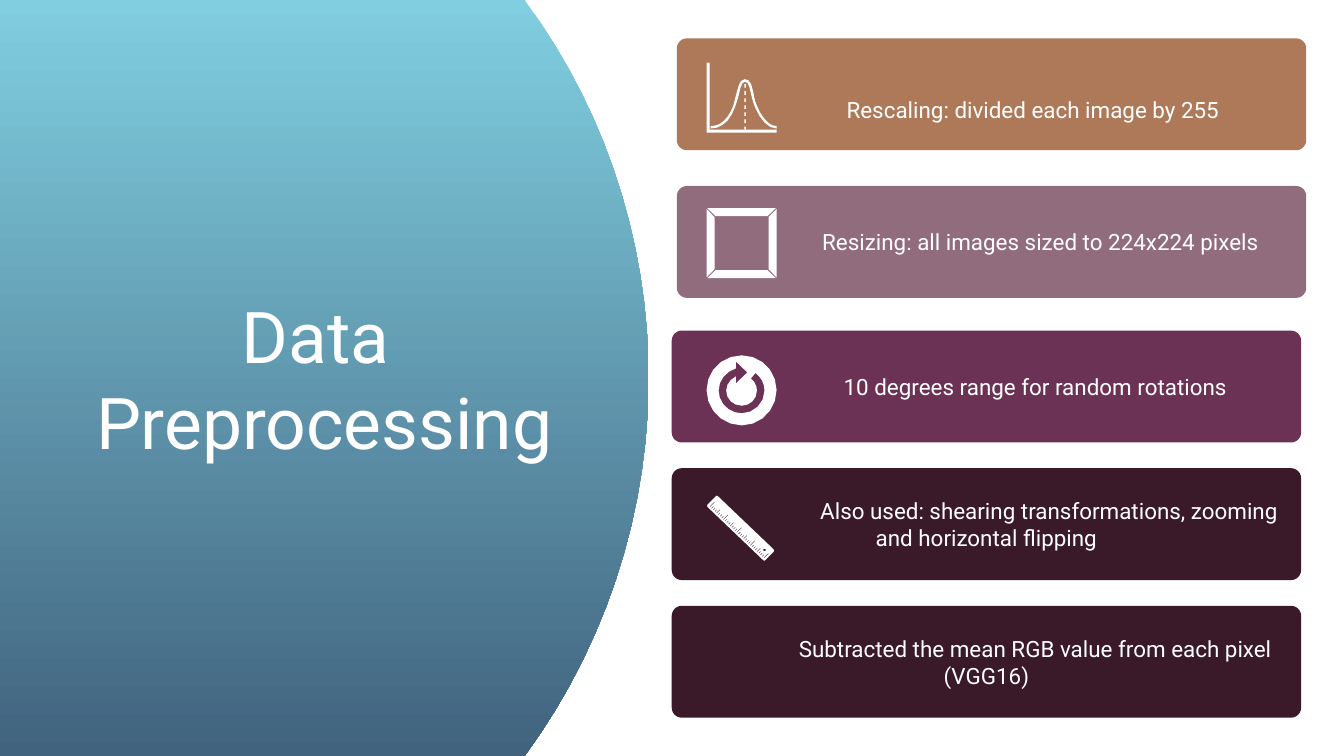
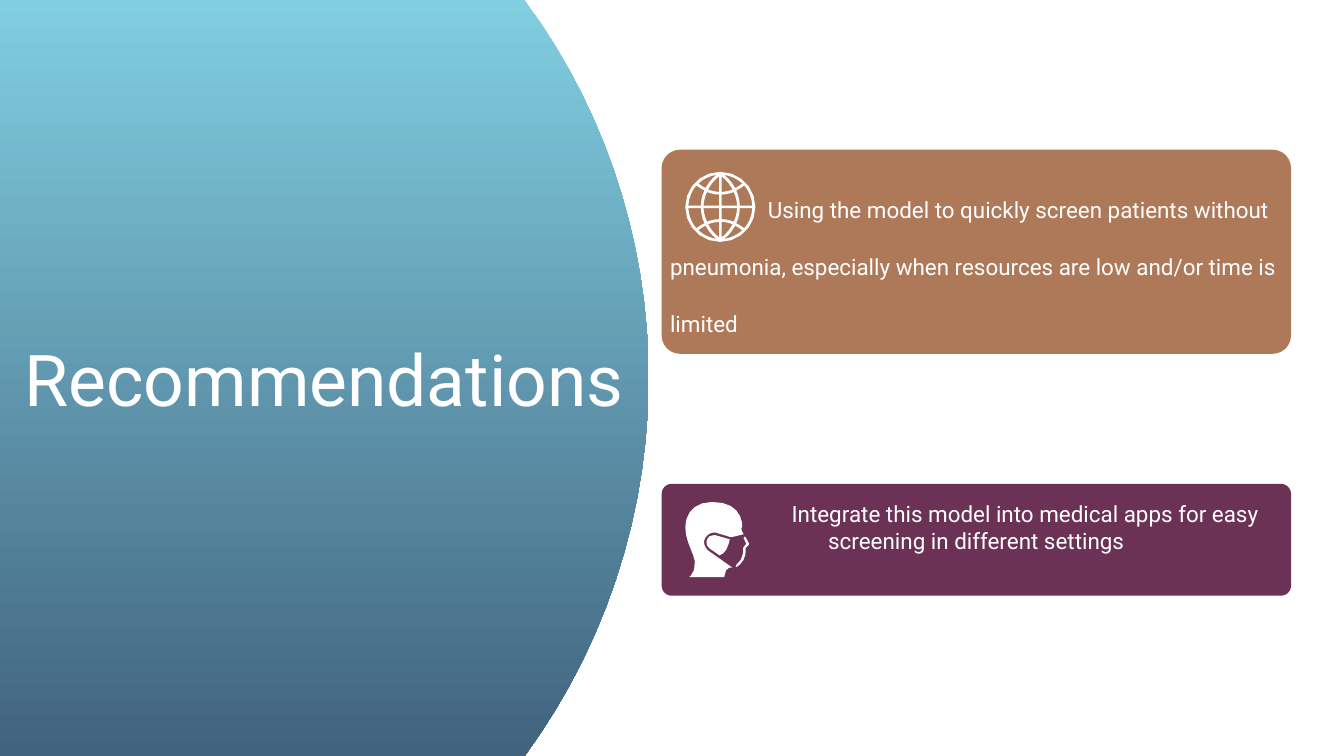
from dataclasses import dataclass
from math import ceil, dist, sqrt

from pptx import Presentation
from pptx.dml.color import RGBColor
from pptx.enum.shapes import MSO_SHAPE
from pptx.enum.text import MSO_ANCHOR, MSO_AUTO_SIZE, PP_ALIGN
from pptx.util import Inches, Pt

ROUNDED = MSO_SHAPE.ROUNDED_RECTANGLE
MIDDLE = MSO_ANCHOR.MIDDLE
NO_FIT = MSO_AUTO_SIZE.NONE
LEFT, CENTER = PP_ALIGN.LEFT, PP_ALIGN.CENTER
TITLE_ONLY = 5


@dataclass(frozen=True)
class Theme:
    font: str = "Roboto"
    title_size: int = 102
    card_size: int = 32
    loose_leading: int = 81
    inset: float = 0.06
    indent: float = 1.94
    corner: float = 0.09
    white: str = "FFFFFF"
    sky: str = "80CEE0"
    slate: str = "41637E"
    clay: str = "AE7959"
    mauve: str = "916C7C"
    plum: str = "6C3255"
    wine: str = "3A1A29"


# Outlines use hundredths of an inch.
PANEL = "M 0 0 L 1041 0 C 1204 221 1290 489 1287 764 C 1284 1029 1198 1286 1041 1500 L 0 1500"
BELL = (
    "M 0 0 L 6 0 L 6 133 L 139 133 L 139 139 L 0 139 "
    "M 76 33 C 69 33 66 40 65 43 C 63 48 61 55 59 63 C 57 70 55 78 53 86 "
    "C 48 99 42 109 34 116 C 27 123 18 126 8 126 L 8 131 C 30 131 47 116 57 87 "
    "C 60 79 62 71 64 64 C 67 49 70 38 76 38 C 83 38 85 47 88 61 "
    "C 90 69 92 79 96 88 C 107 115 123 131 139 131 L 139 126 "
    "C 132 126 125 123 119 116 C 112 109 105 99 100 86 C 96 77 94 68 93 60 "
    "C 91 53 90 47 88 42 C 85 36 81 33 76 33"
)
ROTATE = (
    "M 70 0 C 31 0 0 31 0 69 C 0 107 31 139 70 139 C 108 139 139 107 139 69 "
    "C 139 31 108 0 70 0 "
    "M 58 12 L 81 34 L 58 56 L 58 42 C 47 47 39 58 39 70 C 39 87 53 100 70 100 "
    "C 86 100 100 87 100 70 C 100 61 96 52 88 46 L 97 35 C 108 43 115 56 115 70 "
    "C 115 95 94 115 70 115 C 45 115 24 95 24 70 C 24 49 39 32 58 26"
)
RULER = (
    "M 22 2 C 20 0 18 0 17 2 L 1 18 C 0 20 0 22 1 23 L 112 129 "
    "C 113 130 115 130 116 128 L 132 112 C 133 110 133 108 132 107 "
    "M 116 106 C 117 107 117 109 116 110 C 115 111 113 111 112 110 "
    "C 111 109 110 107 112 106 C 113 104 115 104 116 106"
)
GLOBE_RIM = (
    "M 69 0 C 31 0 0 31 0 70 C 0 108 31 139 69 139 "
    "C 108 139 139 108 139 70 C 139 31 108 0 69 0"
)
GLOBE_QUARTER = (
    "M 77 6 C 91 8 103 14 113 23 C 108 27 104 30 99 32 L 97 29 "
    "C 92 20 85 12 77 6 "
    "M 72 9 C 80 15 87 23 92 32 L 94 35 C 87 38 80 39 72 40 "
    "M 117 27 C 126 37 132 51 133 67 L 108 67 C 108 57 106 47 101 37 "
    "C 107 34 112 31 117 27 "
    "M 96 40 C 100 48 102 57 103 67 L 72 67 L 72 45 C 81 45 89 43 96 40"
)
MASKED_HEAD = (
    "M 53 0 C 18 0 0 23 0 50 C 0 78 16 99 19 118 C 22 137 8 149 8 149 L 77 149 "
    "C 80 129 87 130 93 130 L 45 96 C 40 92 37 85 37 78 C 38 73 41 68 45 65 "
    "C 50 61 55 60 61 61 L 91 70 L 116 64 C 115 62 113 60 113 59 "
    "C 108 52 115 49 113 42 C 108 17 92 0 53 0 "
    "M 57 66 C 54 66 51 67 48 68 C 45 71 42 75 42 79 C 41 84 44 89 48 92 "
    "L 68 106 C 76 103 82 96 85 86 C 87 81 88 76 88 74 L 60 66 "
    "M 117 69 C 115 70 115 71 116 72 L 121 83 L 116 89 L 115 91 "
    "C 115 91 117 114 101 125 C 100 126 99 127 100 128 L 102 129 "
    "C 110 124 117 116 119 105 C 120 99 120 94 120 91 L 126 85 "
    "C 127 84 127 83 126 82 L 120 70 L 117 69"
)


def bezier(points, t):
    """Point at t on the cubic curve through four control points."""
    u = 1 - t
    weights = (u**3, 3 * u * u * t, 3 * u * t * t, t**3)
    return tuple(sum(w * pt[axis] for w, pt in zip(weights, points)) for axis in (0, 1))


def contours(outline):
    """Turn an outline of M, L and C steps into points, with more on longer curves."""
    result = []
    tokens = iter(outline.split())
    for step in tokens:
        count = 3 if step == "C" else 1
        pts = [(float(next(tokens)), float(next(tokens))) for _ in range(count)]
        if step == "M":
            result.append(pts)
        elif step == "L":
            result[-1] += pts
        else:
            curve = [result[-1][-1], *pts]
            n = ceil(sqrt(dist(curve[0], curve[-1])) / 2)
            result[-1] += [bezier(curve, i / n) for i in range(1, n + 1)]
    return result


def bell_curve():
    dashes = [[(75, y), (78, y), (78, y + 7), (75, y + 7)] for y in range(43, 134, 14)]
    return contours(BELL) + dashes


def picture_frame():
    side = [(-68, -69.5), (-51.5, -53.5), (51.5, -53.5), (68, -69.5)]
    sides = []
    for _ in range(4):
        sides.append([(x + 69.5, y + 69.5) for x, y in side])
        side = [(-y, x) for x, y in side]
    return sides


def ruler():
    ticks = []
    for i in range(33):
        length = 9.5 if i % 8 == 0 else 7 if i % 4 == 0 else 4
        x, y = 5 + 3.34 * i, 22 + 3.19 * i
        ticks.append([(x, y), (x + length, y - length),
                      (x + length + 1, y - length + 1), (x + 1, y + 1)])
    return contours(RULER) + ticks


def globe():
    quarter = contours(GLOBE_QUARTER)
    cells = [
        [(69.5 + fx * (x - 69.5), 69.5 + fy * (y - 69.5)) for x, y in cell]
        for fx in (1, -1) for fy in (1, -1) for cell in quarter
    ]
    return contours(GLOBE_RIM) + cells


class Deck:
    """Holds the theme and the current slide; places are percentages of the slide."""

    def __init__(self, prs, theme):
        self.prs, self.theme = prs, theme
        self.s = None

    def x(self, share):
        return round(self.prs.slide_width * share / 100)

    def y(self, share):
        return round(self.prs.slide_height * share / 100)

    def outline(self, left, top, shape_contours):
        unit = Inches(0.01)
        scaled = [[(x * unit, y * unit) for x, y in c] for c in shape_contours]
        builder = self.s.shapes.build_freeform(*scaled[0][0])
        for i, points in enumerate(scaled):
            if i:
                builder.move_to(*points[0])
            builder.add_line_segments(points[1:], close=True)
        sp = builder.convert_to_shape(self.x(left), self.y(top))
        sp.shadow.inherit = False
        sp.line.fill.background()
        return sp

    def icon(self, left, top, shape_contours):
        sp = self.outline(left, top, shape_contours)
        sp.fill.solid()
        sp.fill.fore_color.rgb = RGBColor.from_string(self.theme.white)

    def frame_text(self, sp, size, align):
        tf = sp.text_frame
        tf.word_wrap = True
        tf.auto_size = NO_FIT
        tf.vertical_anchor = MIDDLE
        inset = Inches(self.theme.inset)
        tf.margin_left = tf.margin_right = tf.margin_top = tf.margin_bottom = inset
        for p in tf.paragraphs:
            p.alignment = align
            for r in p.runs:
                r.font.name = self.theme.font
                r.font.size = Pt(size)
                r.font.color.rgb = RGBColor.from_string(self.theme.white)
        return tf

    def slide(self, title):
        """Start a slide with the curved title panel."""
        self.s = self.prs.slides.add_slide(self.prs.slide_layouts[TITLE_ONLY])
        panel = self.outline(0, 0, contours(PANEL))
        panel.fill.gradient()
        panel.fill.gradient_angle = 270
        for stop, color in zip(panel.fill.gradient_stops, (self.theme.sky, self.theme.slate)):
            stop.color.rgb = RGBColor.from_string(color)
        sp = self.s.shapes.title
        sp.left, sp.top, sp.width, sp.height = 0, 0, panel.width, panel.height
        sp.text_frame.text = title
        self.frame_text(sp, self.theme.title_size, CENTER)
        sp.element.getparent().append(sp.element)

    def card(self, left, top, color, text, height=14.8, indent=None, loose=False, lift=0):
        """Rounded card; lift is extra space in inches under its text."""
        sp = self.s.shapes.add_shape(
            ROUNDED, self.x(left), self.y(top), self.x(46.83), self.y(height))
        sp.adjustments[0] = self.theme.corner
        sp.shadow.inherit = False
        sp.line.fill.background()
        sp.fill.solid()
        sp.fill.fore_color.rgb = RGBColor.from_string(color)
        sp.text_frame.text = text
        tf = self.frame_text(sp, self.theme.card_size, LEFT if loose else CENTER)
        tf.margin_bottom += Inches(lift)
        p = tf.paragraphs[0]
        p._p.get_or_add_pPr().set("indent", str(Inches(indent or self.theme.indent)))
        if loose:
            p.line_spacing = Pt(self.theme.loose_leading)


def preprocessing_slide(deck):
    t = deck.theme
    deck.slide("Data \nPreprocessing")
    deck.card(50.36, 5.07, t.clay, "Rescaling: divided each image by 255",
              indent=3.25, loose=True)
    deck.card(50.36, 24.6, t.mauve, "Resizing: all images sized to 224x224 pixels")
    deck.card(49.98, 43.73, t.plum, "10 degrees range for random rotations")
    deck.card(49.98, 61.93, t.wine,
              "Also used: shearing transformations, zooming and horizontal flipping",
              indent=2.49)
    deck.card(49.98, 80.13, t.wine, "Subtracted the mean RGB value from each pixel (VGG16)")
    deck.icon(52.57, 8.27, bell_curve())
    deck.icon(52.57, 27.53, picture_frame())
    deck.icon(52.57, 47, contours(ROTATE))
    deck.icon(52.61, 65.53, ruler())


def recommendations_slide(deck):
    t = deck.theme
    deck.slide("Recommendations")
    deck.card(49.23, 19.8, t.clay,
              "Using the model to quickly screen patients without pneumonia, "
              "especially when resources are low and/or time is limited",
              height=27, loose=True)
    deck.card(49.23, 64, t.plum,
              "Integrate this model into medical apps for easy screening in different settings",
              lift=0.52)
    deck.icon(50.99, 22.73, globe())
    deck.icon(50.99, 66.4, contours(MASKED_HEAD))


def main():
    prs = Presentation()
    prs.slide_width, prs.slide_height = Inches(26.67), Inches(15)
    deck = Deck(prs, Theme())
    preprocessing_slide(deck)
    recommendations_slide(deck)
    prs.save("out.pptx")


if __name__ == "__main__":
    main()
